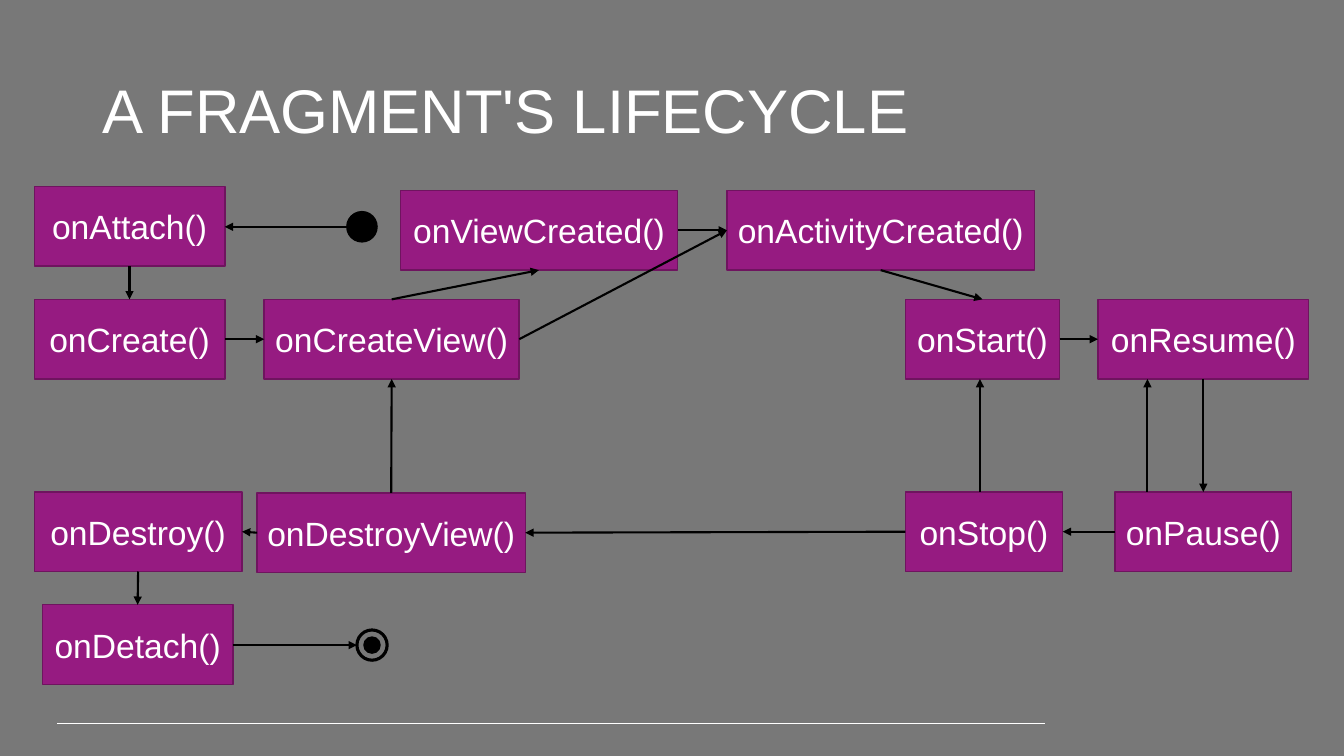
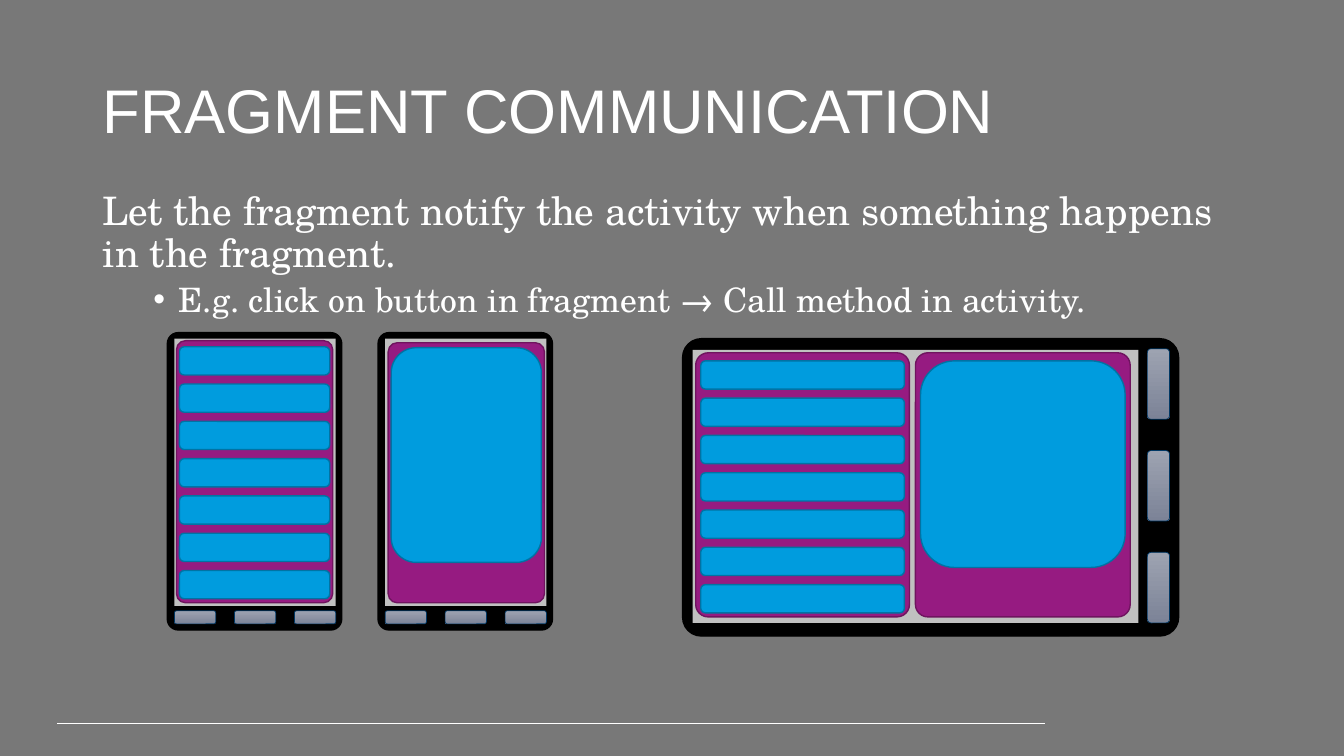
from dataclasses import dataclass

from lxml.etree import SubElement
from pptx import Presentation
from pptx.dml.color import RGBColor
from pptx.enum.shapes import MSO_CONNECTOR as Link, MSO_SHAPE as Preset
from pptx.enum.text import MSO_ANCHOR as Anchor, MSO_AUTO_SIZE as AutoSize, PP_ALIGN as Align
from pptx.oxml.ns import qn
from pptx.util import Inches, Pt


@dataclass(frozen=True)
class Theme:
    background: str = "787878"
    text: str = "FFFFFF"
    ink: str = "000000"
    purple: str = "961B81"
    purple_edge: str = "6F145F"
    blue: str = "009CDE"
    blue_edge: str = "0073A4"
    screen: str = "C0C0C0"
    button_top: str = "9DA3B1"
    button_bottom: str = "7C8397"
    button_edge: str = "003865"
    sans: str = "Arial"
    serif: str = "TeX Gyre Schola"
    title_size: int = 44
    body_size: int = 28
    small_size: int = 24
    spacing: float = 0.9


THEME = Theme()
TOP, LEFT, BOTTOM, RIGHT = range(4)
BOX_HEIGHT = 0.79
ROW_PITCH, ROW_HEIGHT, ROW_COUNT = 0.37, 0.28, 7

CALLBACKS = {
    "onAttach()": (0.34, 1.85, 1.89),
    "onViewCreated()": (3.97, 1.89, 2.75),
    "onActivityCreated()": (7.21, 1.89, 3.05),
    "onCreate()": (0.34, 2.97, 1.89),
    "onCreateView()": (2.62, 2.97, 2.53),
    "onStart()": (8.98, 2.97, 1.53),
    "onResume()": (10.89, 2.97, 2.09),
    "onDestroy()": (0.34, 4.88, 2.06),
    "onDestroyView()": (2.55, 4.89, 2.66),
    "onStop()": (8.98, 4.88, 1.56),
    "onPause()": (11.06, 4.88, 1.75),
    "onDetach()": (0.42, 6, 1.89),
}

TRANSITIONS = [
    ("onAttach()", BOTTOM, "onCreate()", TOP),
    ("onCreate()", RIGHT, "onCreateView()", LEFT),
    ("onCreateView()", TOP, "onViewCreated()", BOTTOM),
    ("onCreateView()", RIGHT, "onActivityCreated()", LEFT),
    ("onViewCreated()", RIGHT, "onActivityCreated()", LEFT),
    ("onActivityCreated()", BOTTOM, "onStart()", TOP),
    ("onStart()", RIGHT, "onResume()", LEFT),
    ("onResume()", BOTTOM, "onPause()", TOP),
    ("onPause()", LEFT, "onStop()", RIGHT),
    ("onStop()", LEFT, "onDestroyView()", RIGHT),
    ("onDestroyView()", TOP, "onCreateView()", BOTTOM),
    ("onDestroyView()", LEFT, "onDestroy()", RIGHT),
    ("onDestroy()", BOTTOM, "onDetach()", TOP),
]

FREE_ARROWS = [
    (3.44, 2.25, 2.23, 2.25),
    (2.31, 6.4, 3.54, 6.4),
    (11.38, 4.88, 11.38, 3.76),
    (9.72, 4.88, 9.72, 3.76),
]


def rgb(color):
    return RGBColor.from_string(color)


def add_run(para, text, size, font):
    span = para.add_run()
    span.text = text
    span.font.size = Pt(size)
    span.font.name = font
    span.font.color.rgb = rgb(THEME.text)


def add_shape(shapes, preset, area, fill=None, edge=None, width=1, radius=None):
    shape = shapes.add_shape(preset, *map(Inches, area))
    shape.shadow.inherit = False
    if fill:
        shape.fill.solid()
        shape.fill.fore_color.rgb = rgb(fill)
    else:
        shape.fill.background()
    if edge:
        shape.line.color.rgb = rgb(edge)
        shape.line.width = Pt(width)
    else:
        shape.line.fill.background()
    if radius is not None:
        shape.adjustments[0] = radius
    return shape


def add_line(slide, ends, color, width):
    line = slide.shapes.add_connector(Link.STRAIGHT, *map(Inches, ends))
    line.line.color.rgb = rgb(color)
    line.line.width = Pt(width)
    SubElement(line.element.spPr, qn("a:effectLst"))
    return line


def add_arrow(slide, ends=(0, 0, 0, 0)):
    arrow = add_line(slide, ends, THEME.ink, 1.5)
    SubElement(arrow.get_or_add_ln(), qn("a:tailEnd"), type="triangle")
    return arrow


def add_callback(slide, name, left, top, width):
    box = add_shape(slide.shapes, Preset.RECTANGLE, (left, top, width, BOX_HEIGHT),
                    THEME.purple, THEME.purple_edge)
    frame = box.text_frame
    frame.word_wrap = False
    frame.vertical_anchor = Anchor.MIDDLE
    para = frame.paragraphs[0]
    para.alignment = Align.CENTER
    add_run(para, name, THEME.small_size, THEME.sans)
    return box


def place(holder, left, top, width, height):
    holder.left, holder.top = Inches(left), Inches(top)
    holder.width, holder.height = Inches(width), Inches(height)
    holder.text_frame.auto_size = AutoSize.NONE
    holder.text_frame.word_wrap = True
    return holder.text_frame


def add_page(deck, layout, title):
    page = deck.slides.add_slide(deck.slide_layouts[layout])
    frame = place(page.shapes.title, 0.92, 0.4, 11.5, 1.45)
    frame.vertical_anchor = Anchor.MIDDLE
    para = frame.paragraphs[0]
    para.alignment = Align.LEFT
    para.line_spacing = THEME.spacing
    add_run(para, title, THEME.title_size, THEME.sans)
    return page


def format_body(para, text, size, bullet=None, margin=0, hang=0, before=0):
    para.line_spacing = THEME.spacing
    para.space_before = Pt(before)
    props = para._p.get_or_add_pPr()
    props.set("marL", str(Inches(margin)))
    props.set("indent", str(-Inches(hang)))
    if bullet:
        SubElement(props, qn("a:buFont"), typeface=THEME.sans)
        SubElement(props, qn("a:buChar"), char=bullet)
    else:
        SubElement(props, qn("a:buNone"))
    add_run(para, text, size, THEME.serif)


def add_button(shapes, area):
    button = add_shape(shapes, Preset.ROUNDED_RECTANGLE, area, THEME.button_top,
                       THEME.button_edge, 0.5)
    button.fill.gradient()
    button.fill.gradient_angle = 270
    colors = (THEME.button_top, THEME.button_bottom)
    for stop, color in zip(button.fill.gradient_stops, colors):
        stop.color.rgb = rgb(color)


def add_device(page, body, screen, buttons):
    shapes = page.shapes.add_group_shape().shapes
    add_shape(shapes, Preset.ROUNDED_RECTANGLE, body, THEME.ink, THEME.ink, radius=0.063)
    add_shape(shapes, Preset.RECTANGLE, screen, THEME.screen)
    for area in buttons:
        add_button(shapes, area)
    return shapes


def add_phone(page, left):
    buttons = [(left + 0.07 + 0.595 * step, 6.06, 0.41, 0.13) for step in range(3)]
    return add_device(page, (left, 3.3, 1.73, 2.95), (left + 0.07, 3.36, 1.6, 2.65), buttons)


def add_tablet(page):
    buttons = [(11.38, 3.46 + 1.01 * step, 0.22, 0.7) for step in range(3)]
    return add_device(page, (6.77, 3.36, 4.92, 2.95), (6.87, 3.47, 4.42, 2.71), buttons)


def add_fragment(shapes, area, inset, heights, pitch=0):
    left, top, width, _ = area
    side, head = inset
    add_shape(shapes, Preset.ROUNDED_RECTANGLE, area, THEME.purple, THEME.purple_edge,
              radius=0.058)
    for step, height in enumerate(heights):
        item = (left + side, top + head + pitch * step, width - 2 * side, height)
        add_shape(shapes, Preset.ROUNDED_RECTANGLE, item, THEME.blue, THEME.blue_edge)


def add_list_fragment(shapes, area, inset):
    add_fragment(shapes, area, inset, [ROW_HEIGHT] * ROW_COUNT, ROW_PITCH)


def style_master(deck, page):
    master = deck.slide_master
    master.background.fill.solid()
    master.background.fill.fore_color.rgb = rgb(THEME.background)
    rule = add_line(page, (0.57, 7.18, 10.36, 7.18), THEME.text, 0.75)
    master.shapes.element.append(rule.element)


def build_lifecycle(deck):
    page = add_page(deck, 5, "A FRAGMENT'S LIFECYCLE")
    boxes = {name: add_callback(page, name, *area) for name, area in CALLBACKS.items()}
    add_shape(page.shapes, Preset.OVAL, (3.44, 2.1, 0.3, 0.3), THEME.ink, THEME.ink)
    final = page.shapes.add_group_shape().shapes
    add_shape(final, Preset.OVAL, (3.54, 6.25, 0.3, 0.3), edge=THEME.ink, width=2.25)
    add_shape(final, Preset.OVAL, (3.61, 6.32, 0.16, 0.16), THEME.ink, THEME.ink)
    for source, start, target, end in TRANSITIONS:
        arrow = add_arrow(page)
        arrow.begin_connect(boxes[source], start)
        arrow.end_connect(boxes[target], end)
    for ends in FREE_ARROWS:
        add_arrow(page, ends)
    return page


def build_communication(deck):
    page = add_page(deck, 1, "FRAGMENT COMMUNICATION")
    frame = place(page.placeholders[1], 0.92, 1.85, 11.5, 1.38)
    format_body(frame.paragraphs[0],
                "Let the fragment notify the activity when something happens in the fragment.",
                THEME.body_size)
    detail = frame.add_paragraph()
    detail.level = 1
    format_body(detail, "E.g. click on button in fragment → Call method in activity.",
                THEME.small_size, "•", 0.75, 0.25, 5)

    add_list_fragment(add_phone(page, 1.66), (1.75, 3.38, 1.55, 2.6), (0.03, 0.06))
    add_fragment(add_phone(page, 3.75), (3.85, 3.4, 1.55, 2.58), (0.03, 0.05), [2.13])
    tablet = add_tablet(page)
    add_list_fragment(tablet, (6.9, 3.5, 2.12, 2.62), (0.05, 0.08))
    add_fragment(tablet, (9.08, 3.5, 2.13, 2.62), (0.05, 0.08), [2.05])


def main():
    deck = Presentation()
    deck.slide_width, deck.slide_height = Inches(13.33), Inches(7.5)
    style_master(deck, build_lifecycle(deck))
    build_communication(deck)
    deck.save("out.pptx")


if __name__ == "__main__":
    main()
